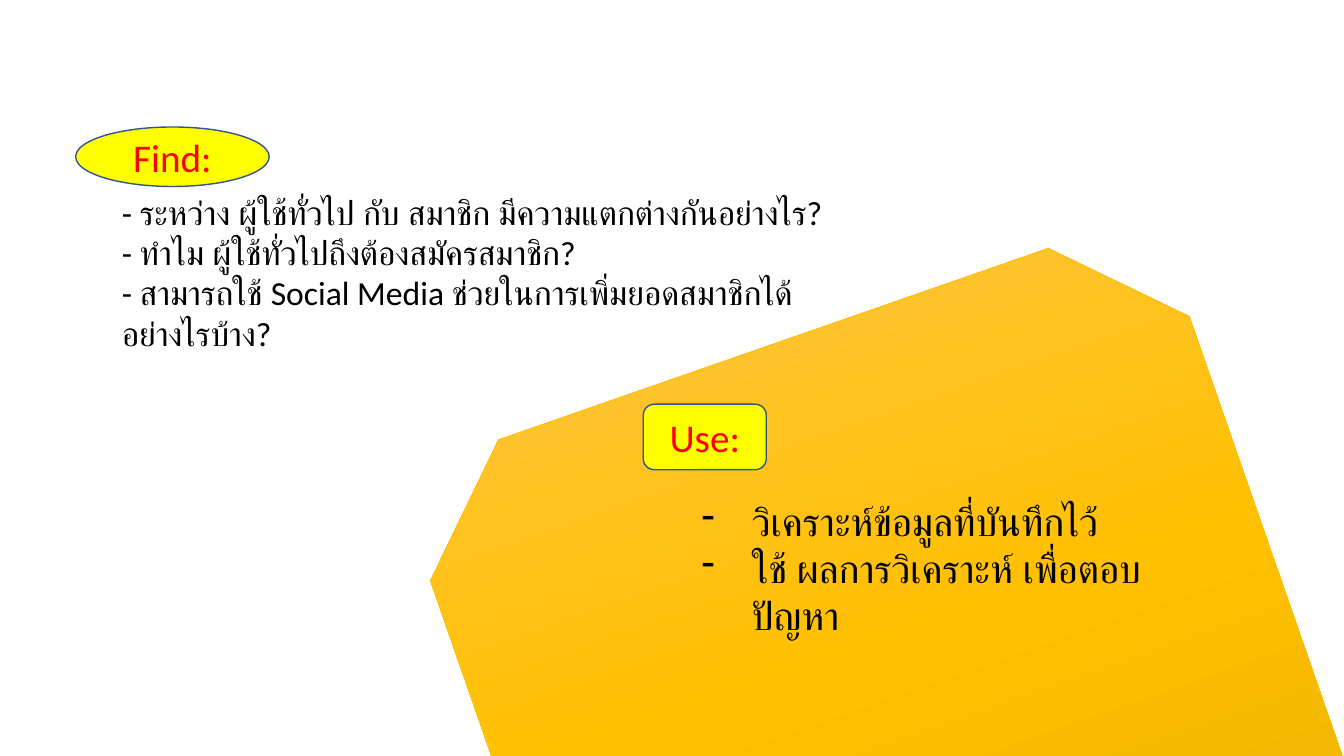
from copy import deepcopy
from dataclasses import dataclass

from pptx import Presentation
from pptx.dml.color import RGBColor
from pptx.enum.shapes import MSO_SHAPE
from pptx.enum.text import MSO_ANCHOR, MSO_AUTO_SIZE, PP_ALIGN
from pptx.oxml import parse_xml
from pptx.oxml.ns import nsdecls
from pptx.util import Inches, Pt


@dataclass
class Theme:
    font: str = "Calibri"
    black: str = "000000"
    red: str = "FF0000"
    yellow: str = "FFFF00"
    blue: str = "325491"
    gold: str = "FFC000"
    shades: tuple = ("FFC64B", "FFC000", "E3AB00")
    small: int = 24
    large: int = 28


theme = Theme()


def write(shape, lines, size, color):
    frame = shape.text_frame
    frame.word_wrap = True
    frame.text = "\n".join(lines)
    for par in frame.paragraphs:
        for run in par.runs:
            run.font.name = theme.font
            run.font.size = Pt(size)
            run.font.color.rgb = RGBColor.from_string(color)


def label(group, kind, box, text):
    """Add a yellow shape with a centred red heading."""
    shape = group.shapes.add_shape(kind, *map(Inches, box))
    shape.shadow.inherit = False
    shape.fill.solid()
    shape.fill.fore_color.rgb = RGBColor.from_string(theme.yellow)
    shape.line.color.rgb = RGBColor.from_string(theme.blue)
    shape.line.width = Pt(1)
    write(shape, [text], theme.large, theme.red)
    shape.text_frame.vertical_anchor = MSO_ANCHOR.MIDDLE
    shape.text_frame.paragraphs[0].alignment = PP_ALIGN.CENTER


deck = Presentation()
deck.slide_width, deck.slide_height = Inches(13.33), Inches(7.5)
slide = deck.slides.add_slide(deck.slide_layouts[6])

# Golden panel
panel = slide.shapes.add_shape(
    MSO_SHAPE.SNIP_2_SAME_RECTANGLE,
    Inches(4.77), Inches(3.23), Inches(7.97), Inches(6.59))
panel.rotation = 340.8
panel.shadow.inherit = False
panel.line.color.rgb = RGBColor.from_string(theme.gold)
panel.line.width = Pt(0.5)
panel.fill.gradient()
panel.fill.gradient_angle = 270
first = panel.fill.gradient_stops[0]._gs
first.addnext(deepcopy(first))
for i, (stop, shade) in enumerate(zip(panel.fill.gradient_stops, theme.shades)):
    stop.position = i / 2
    stop.color.rgb = RGBColor.from_string(shade)

# Questions to answer
find = slide.shapes.add_group_shape()
asks = find.shapes.add_textbox(
    Inches(1.11), Inches(1.85), Inches(7.28), Inches(1.31))
write(asks, [
    "- ระหว่าง ผู้ใช้ทั่วไป กับ สมาชิก มีความแตกต่างกันอย่างไร?",
    "- ทำไม ผู้ใช้ทั่วไปถึงต้องสมัครสมาชิก?",
    "- สามารถใช้ Social Media ช่วยในการเพิ่มยอดสมาชิกได้อย่างไรบ้าง?",
], theme.small, theme.black)
label(find, MSO_SHAPE.OVAL, (0.75, 1.26, 1.92, 0.59), "Find:")

# Ways to answer them
use = slide.shapes.add_group_shape()
label(use, MSO_SHAPE.ROUNDED_RECTANGLE, (6.38, 4.01, 1.22, 0.65), "Use:")
steps = use.shapes.add_textbox(
    Inches(6.86), Inches(4.88), Inches(4.58), Inches(1.04))
write(steps, [
    "วิเคราะห์ข้อมูลที่บันทึกไว้",
    "ใช้ ผลการวิเคราะห์ เพื่อตอบปัญหา",
], theme.large, theme.black)
for par in steps.text_frame.paragraphs:
    props = par._p.get_or_add_pPr()
    props.set("marL", str(Inches(0.5)))
    props.set("indent", str(Inches(-0.5)))
    props.append(parse_xml(f'<a:buChar {nsdecls("a")} char="-"/>'))

for box in (asks, steps):
    box.text_frame.auto_size = MSO_AUTO_SIZE.SHAPE_TO_FIT_TEXT

deck.save("out.pptx")
